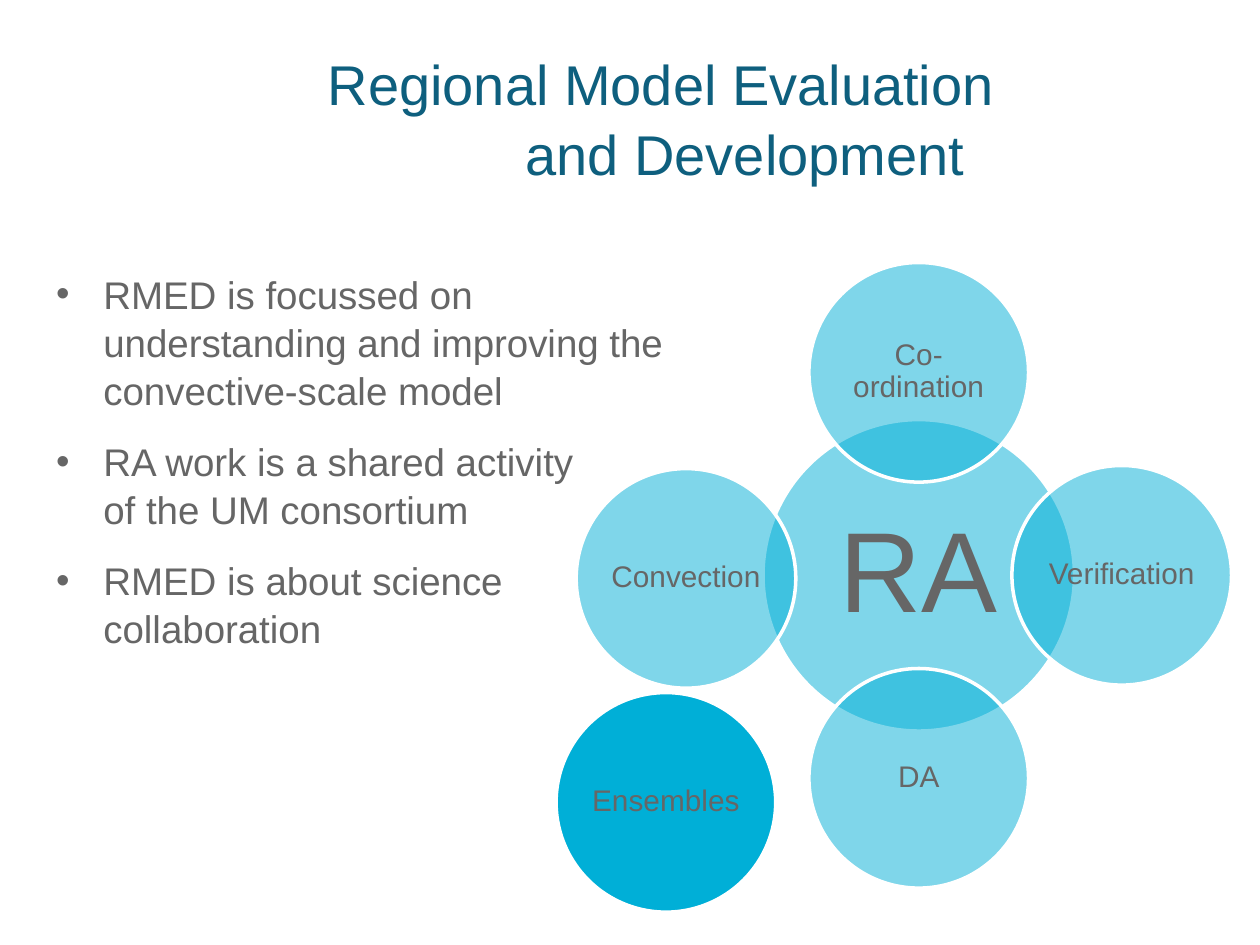
from lxml import etree
from pptx import Presentation
from pptx.dml.color import RGBColor
from pptx.enum.shapes import MSO_SHAPE
from pptx.enum.text import MSO_ANCHOR, PP_ALIGN
from pptx.oxml.ns import qn
from pptx.util import Pt

OVAL = MSO_SHAPE.OVAL
MIDDLE = MSO_ANCHOR.MIDDLE
LEFT, CENTER = PP_ALIGN.LEFT, PP_ALIGN.CENTER

FONT = "Arial"
COLORS = {"title": "0E5F7E", "text": "666666", "circle": "00AFD7", "outline": "FFFFFF"}

# Content: each text is a list of lines
TITLE = ["Regional Model Evaluation", "and Development"]
BULLETS = [
    ["RMED is focussed on understanding and improving the convective-scale model"],
    ["RA work is a shared activity", "of the UM consortium"],
    ["RMED is about science collaboration"],
]

# Circles: label, centre x, centre y, diameter, text size, inset, opacity %
HUB_X, HUB_Y, REACH = 525, 328.75, 116
HUB = (178, 65, 6.5, 50)
SATELLITE = (125.5, 17, 1.5, 50)
DETACHED = (125.5, 17, 1.5, 100)
CIRCLES = [
    ("RA", HUB_X, HUB_Y, *HUB),
    ("Co-ordination", HUB_X, HUB_Y - REACH, *SATELLITE),
    ("Verification", HUB_X + REACH, HUB_Y, *SATELLITE),
    ("DA", HUB_X, HUB_Y + REACH, *SATELLITE),
    ("Convection", 392, 330.5, *SATELLITE),
    ("Ensembles", 380.5, 458.5, *DETACHED),
]


def color(name):
    return RGBColor.from_string(COLORS[name])


def add_lines(paragraph, lines, size, color_name):
    for index, line in enumerate(lines):
        if index:
            paragraph.add_line_break()
        run = paragraph.add_run()
        run.text = line
        run.font.name = FONT
        run.font.size = Pt(size)
        run.font.color.rgb = color(color_name)


def set_indent(paragraph, margin, first_line):
    properties = paragraph._p.get_or_add_pPr()
    properties.set("marL", str(Pt(margin)))
    properties.set("indent", str(Pt(first_line)))
    return properties


def add_circle(slide, label, center_x, center_y, diameter, size, inset, opacity):
    shape = slide.shapes.add_shape(
        OVAL, Pt(center_x - diameter / 2), Pt(center_y - diameter / 2),
        Pt(diameter), Pt(diameter))
    shape.shadow.inherit = False
    shape.fill.solid()
    shape.fill.fore_color.rgb = color("circle")
    if opacity < 100:
        fill_color = shape._element.spPr.find(qn("a:solidFill"))[0]
        etree.SubElement(fill_color, qn("a:alpha")).set("val", str(opacity * 1000))
    shape.line.color.rgb = color("outline")
    shape.line.width = Pt(2)

    frame = shape.text_frame
    frame.word_wrap = True
    frame.vertical_anchor = MIDDLE
    frame.margin_left = frame.margin_right = Pt(inset)
    frame.margin_top = frame.margin_bottom = Pt(inset)
    paragraph = frame.paragraphs[0]
    paragraph.alignment = CENTER
    paragraph.line_spacing = 0.9
    add_lines(paragraph, [label], size, "text")


presentation = Presentation()
presentation.slide_width, presentation.slide_height = Pt(720), Pt(540)
slide = presentation.slides.add_slide(presentation.slide_layouts[5])

# Title, with the second line stepped in
title = slide.shapes.title
title.left, title.top, title.width, title.height = Pt(151), Pt(21.5), Pt(551), Pt(90)
title.text_frame.word_wrap = True
title.text_frame.vertical_anchor = MIDDLE
paragraph = title.text_frame.paragraphs[0]
paragraph.alignment = LEFT
paragraph.line_spacing = 1.04
set_indent(paragraph, 142, -113)
add_lines(paragraph, TITLE, 32, "title")

# Circle diagram
for circle in CIRCLES:
    add_circle(slide, *circle)

# Bullet list
body = slide.shapes.add_textbox(Pt(25), Pt(150), Pt(371), Pt(320))
frame = body.text_frame
frame.word_wrap = True
for index, lines in enumerate(BULLETS):
    paragraph = frame.add_paragraph() if index else frame.paragraphs[0]
    properties = set_indent(paragraph, 27, -27)
    etree.SubElement(properties, qn("a:buFont")).set("typeface", FONT)
    etree.SubElement(properties, qn("a:buChar")).set("char", "•")
    paragraph.line_spacing = 1.04
    paragraph.space_before = Pt(6.6 if index else 0)
    paragraph.space_after = Pt(6.6)
    add_lines(paragraph, lines, 22, "text")

presentation.save("out.pptx")
